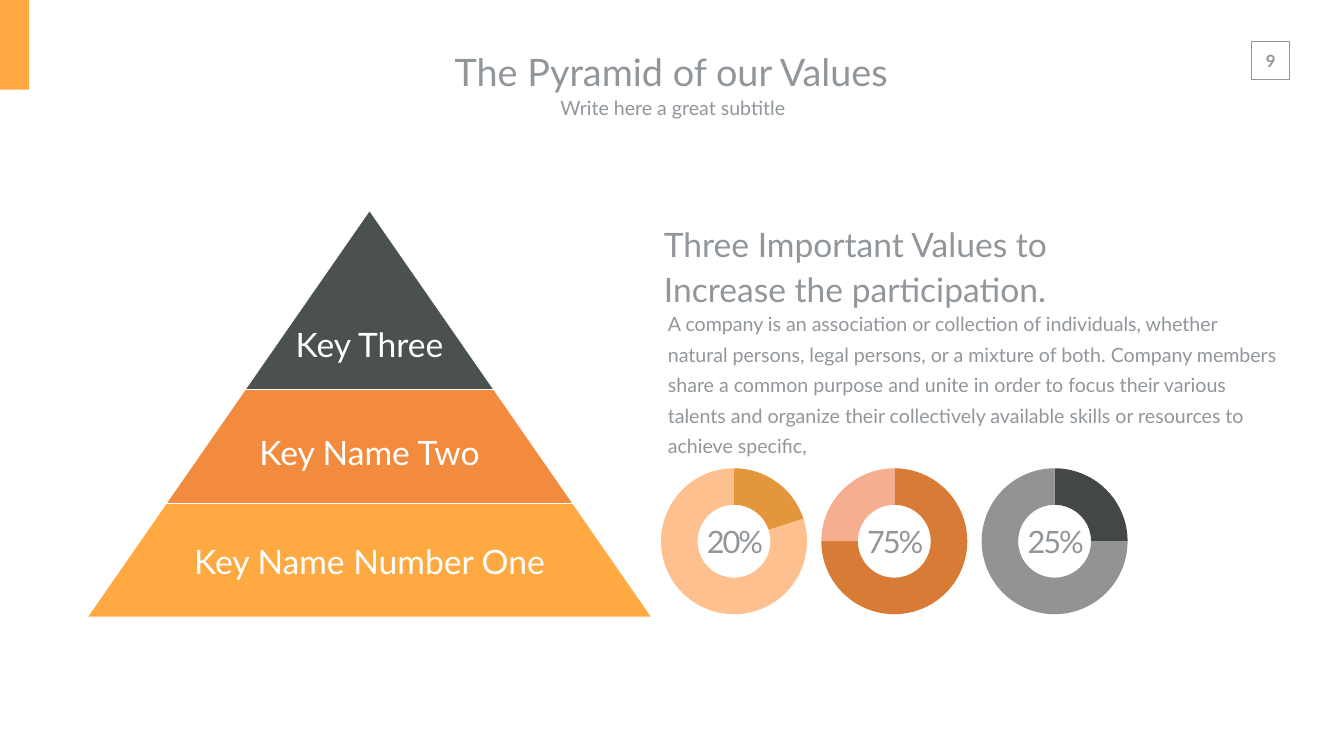
"""Build the pyramid of values slide with three ring charts."""
from typing import NamedTuple

import pptx
import pptx.chart.data
import pptx.dml.color
import pptx.enum.chart
import pptx.enum.shapes
import pptx.enum.text
import pptx.oxml
import pptx.oxml.ns
import pptx.util
from pptx.util import Inches

FACE = "Lato"
GREY = "91969B"
GOLD = "FFA943"
MID = pptx.enum.text.MSO_ANCHOR.MIDDLE
TOP = pptx.enum.text.MSO_ANCHOR.TOP
LEFT = pptx.enum.text.PP_ALIGN.LEFT
CENTER = pptx.enum.text.PP_ALIGN.CENTER
RECT = pptx.enum.shapes.MSO_SHAPE.RECTANGLE
RING = pptx.enum.chart.XL_CHART_TYPE.DOUGHNUT
WIDE = (0.27, 0.13)
SLIM = (0.1, 0.05)
APEX = (7.33, 4.18)
SLOPE = 0.694


class Label(NamedTuple):
    at: tuple
    lines: tuple
    size: int
    color: str = GREY
    align: int = CENTER
    pad: tuple = SLIM
    anchor: int = TOP
    space: float = 1.0
    bold: bool = False
    wrap: bool = True
    track: int = 0


class Tier(NamedTuple):
    top: float
    base: float
    color: str
    name: Label


class Ring(NamedTuple):
    left: float
    share: int
    color: str
    rest: str


TITLE = Label((8.15, 0.83, 10.33, 1.18), ("The Pyramid of our Values",), 54,
              pad=WIDE, anchor=MID)
LABELS = [
    Label((24.8, 0.9, 0.81, 0.61), ("9",), 24, pad=(0.2, 0.1), bold=True, wrap=False),
    Label((8.18, 1.76, 10.33, 0.74), ("Write here a great subtitle",), 28,
          pad=WIDE, anchor=MID),
    Label((13.15, 6.3, 12.31, 2.53), (
        "A company is an association or collection of individuals, whether natural "
        "persons, legal persons, or a mixture of both. Company members share a common "
        "purpose and unite in order to focus their various talents and organize their "
        "collectively available skills or resources to achieve specific,",),
        28, align=LEFT, anchor=MID, space=1.3),
    Label((13.07, 4.32, 11.75, 1.86),
          ("Three Important Values to", "Increase the participation."),
          48, align=LEFT, space=1.1),
]


def key(top: float, width: float, text: str) -> Label:
    """Return a white tier name centred under the apex."""
    return Label((APEX[0] - width / 2, top, width, 0.98), (text,), 48, "FFFFFF", space=1.1)


TIERS = [
    Tier(4.18, 7.73, "4B5050", key(6.3, 4.12, "Key Three")),
    Tier(7.73, 9.99, "F28B3E", key(8.44, 4.98, "Key Name Two")),
    Tier(9.99, 12.24, GOLD, key(10.61, 7.3, "Key Name Number One")),
]
RINGS = [
    Ring(12.5, 20, "E3963B", "FFC08F"),
    Ring(15.68, 75, "D87B36", "F6AE90"),
    Ring(18.86, 25, "434847", "929493"),
]


def rgb(code: str) -> pptx.dml.color.RGBColor:
    """Turn a hex string into a colour."""
    return pptx.dml.color.RGBColor.from_string(code)


def paint(item, code: str) -> None:
    """Give an item a solid fill."""
    item.fill.solid()
    item.fill.fore_color.rgb = rgb(code)


def write(box, label: Label) -> None:
    """Place a box and set its text."""
    box.left, box.top, box.width, box.height = map(Inches, label.at)
    frame = box.text_frame
    frame.word_wrap = label.wrap
    frame.auto_size = pptx.enum.text.MSO_AUTO_SIZE.NONE
    frame.vertical_anchor = label.anchor
    frame.margin_left = frame.margin_right = Inches(label.pad[0])
    frame.margin_top = frame.margin_bottom = Inches(label.pad[1])
    frame.text = "\n".join(label.lines)
    for para in frame.paragraphs:
        para.alignment = label.align
        para.line_spacing = label.space
        font = para.font
        font.name, font.size, font.bold = FACE, pptx.util.Pt(label.size), label.bold
        font.color.rgb = rgb(label.color)
        if label.track:
            para.runs[0]._r.get_or_add_rPr().set("spc", str(label.track))


def put(slide, label: Label) -> None:
    """Add a text box."""
    write(slide.shapes.add_textbox(0, 0, 0, 0), label)


def block(slide, at: tuple):
    """Add a plain rectangle."""
    shape = slide.shapes.add_shape(RECT, *map(Inches, at))
    shape.shadow.inherit = False
    return shape


def draw_tier(slide, tier: Tier) -> None:
    """Draw one slice of the pyramid."""
    mid, peak = APEX
    near, far = ((y - peak) * SLOPE for y in (tier.top, tier.base))
    spots = [(mid - near, tier.top), (mid + near, tier.top),
             (mid + far, tier.base), (mid - far, tier.base)]
    dots = [(Inches(x), Inches(y)) for x, y in spots]
    path = slide.shapes.build_freeform(*dots[0])
    path.add_line_segments(dots[1:], close=True)
    shape = path.convert_to_shape()
    shape.shadow.inherit = False
    paint(shape, tier.color)
    shape.line.color.rgb = rgb("FFFFFF")
    shape.line.width = pptx.util.Pt(1)


def draw_ring(slide, ring: Ring) -> None:
    """Draw one ring chart with its share in the middle."""
    data = pptx.chart.data.CategoryChartData()
    data.categories = ["1", "2"]
    data.add_series("Series 1", (ring.share, 100 - ring.share))
    spot = map(Inches, (ring.left, 9.03, 4.08, 3.42))
    chart = slide.shapes.add_chart(RING, *spot, data).chart
    chart.has_legend = chart.has_title = False
    chart.font.name, chart.font.size = FACE, pptx.util.Pt(18)
    chart.font.color.rgb = rgb(GREY)
    for spot, code in enumerate((ring.color, ring.rest)):
        part = chart.plots[0].series[0].points[spot].format
        paint(part, code)
        part.line.fill.background()
    qn = pptx.oxml.ns.qn
    chart.element.find(".//" + qn("c:holeSize")).set("val", "84")
    area = chart.element.find(".//" + qn("c:plotArea"))
    for old in area.findall(qn("c:layout")):
        area.remove(old)
    tags = (("layoutTarget", "inner"), ("xMode", "edge"), ("yMode", "edge"),
            ("x", 0.15), ("y", 0.07), ("w", 0.71), ("h", 0.86))
    inner = "".join(f'<c:{tag} val="{val}"/>' for tag, val in tags)
    area.insert(0, pptx.oxml.parse_xml(
        f'<c:layout {pptx.oxml.ns.nsdecls("c")}><c:manualLayout>{inner}'
        "</c:manualLayout></c:layout>"))
    put(slide, Label((ring.left + 1.02, 10, 2.12, 1.48), (f"{ring.share}%",), 44,
                     pad=WIDE, anchor=MID, track=-300))


def main() -> None:
    """Build and save the slide."""
    deck = pptx.Presentation()
    deck.slide_width, deck.slide_height = Inches(26.66), Inches(15)
    slide = deck.slides.add_slide(deck.slide_layouts[5])
    write(slide.shapes.title, TITLE)
    frame = block(slide, (24.83, 0.82, 0.75, 0.75))
    frame.fill.background()
    frame.line.color.rgb = rgb(GREY)
    frame.line.width = pptx.util.Pt(1)
    tab = block(slide, (0, 0, 0.58, 1.78))
    paint(tab, GOLD)
    tab.line.fill.background()
    for tier in TIERS:
        draw_tier(slide, tier)
    for ring in RINGS:
        draw_ring(slide, ring)
    for label in LABELS + [tier.name for tier in TIERS]:
        put(slide, label)
    deck.save("out.pptx")


if __name__ == "__main__":
    main()
